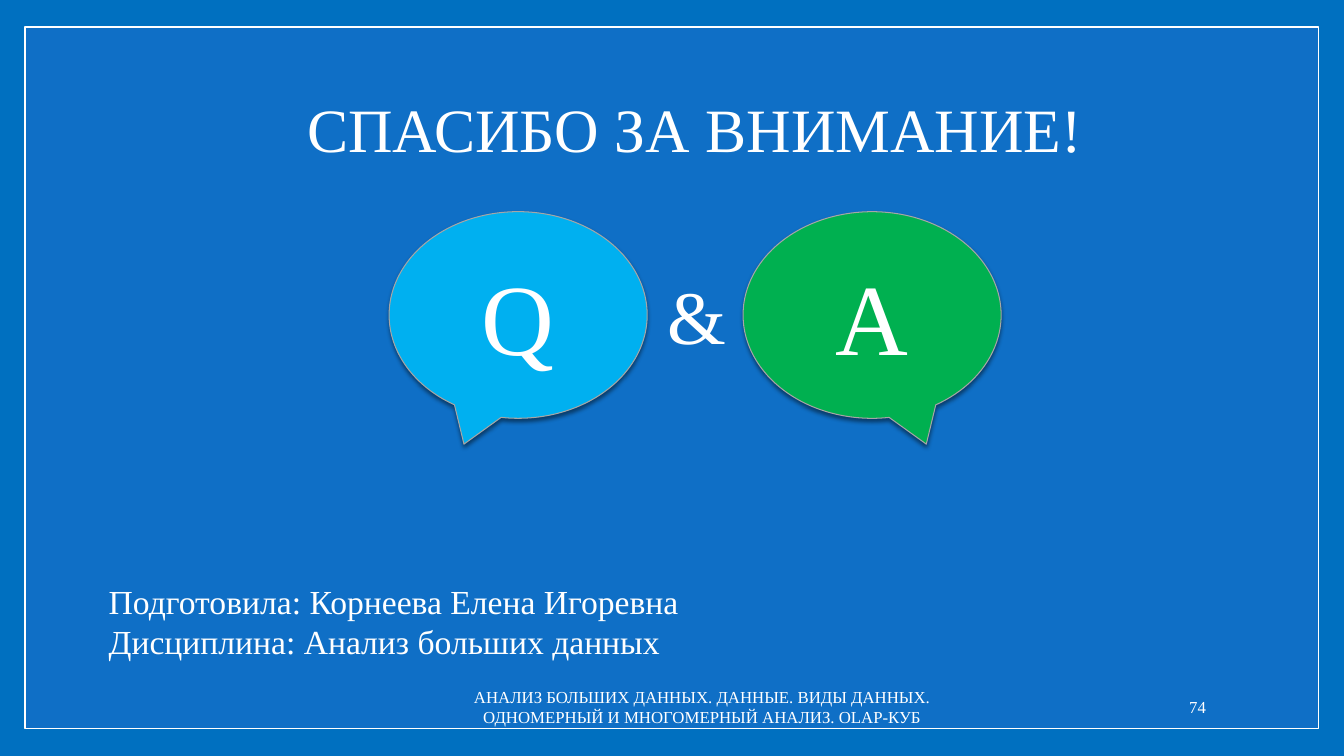
from lxml import etree
from pptx import Presentation
from pptx.dml.color import RGBColor
from pptx.enum.shapes import MSO_SHAPE
from pptx.enum.text import MSO_ANCHOR, PP_ALIGN
from pptx.oxml import parse_xml
from pptx.util import Inches, Pt

RECT, BUBBLE = MSO_SHAPE.RECTANGLE, MSO_SHAPE.OVAL_CALLOUT
TOP, MIDDLE = MSO_ANCHOR.TOP, MSO_ANCHOR.MIDDLE
LEFT, CENTER, RIGHT = PP_ALIGN.LEFT, PP_ALIGN.CENTER, PP_ALIGN.RIGHT
WIDE, HIGH = 13.33, 7.5
WHITE = "FFFFFF"
SHADE = (
    '<a:outerShdw xmlns:a="http://schemas.openxmlformats.org/drawingml/2006/main" '
    'blurRad="38100" dist="25400" dir="5400000" algn="ctr" rotWithShape="0">'
    '<a:srgbClr val="000000"><a:alpha val="45000"/></a:srgbClr></a:outerShdw>'
)


def paint(target, color):
    if hasattr(target, "solid"):
        target.solid()
        target = target.fore_color
    elif hasattr(target, "color"):
        target = target.color
    target.rgb = RGBColor.from_string(color)


def write(shape, lines, size, align, anchor, inset=0.05, space=None):
    frame = shape.text_frame
    form = {
        "word_wrap": True,
        "vertical_anchor": anchor,
        "margin_left": Inches(0.1),
        "margin_right": Inches(0.1),
        "margin_top": Inches(inset),
        "margin_bottom": Inches(inset),
    }
    for key, value in form.items():
        setattr(frame, key, value)
    for row, line in enumerate(lines):
        para = frame.add_paragraph() if row else frame.paragraphs[0]
        para.alignment = align
        para.line_spacing = space
        run = para.add_run()
        run.text = line
        for key, value in {"name": "Times New Roman", "size": Pt(size)}.items():
            setattr(run.font, key, value)
        paint(run.font, WHITE)


deck = Presentation()
deck.slide_width, deck.slide_height = Inches(WIDE), Inches(HIGH)
slide = deck.slides.add_slide(deck.slide_layouts[6])
paint(slide.background.fill, "0070C0")

edge_x, edge_y = 0.25, 0.27
border = slide.shapes.add_shape(
    RECT, Inches(edge_x), Inches(edge_y),
    Inches(WIDE - 2 * edge_x), Inches(HIGH - 2 * edge_y))
border.shadow.inherit = False
paint(border.fill, "0F6FC6")
paint(border.line, WHITE)
border.line.width = Pt(1)

wide, high, top = 2.56, 2.05, 2.1
bubbles = [("Q", 3.86, -0.21, "00B0F0"), ("A", 7.37, 0.21, "00B050")]
for mark, left, tail, color in bubbles:
    bubble = slide.shapes.add_shape(
        BUBBLE, Inches(left), Inches(top), Inches(wide), Inches(high))
    bubble.adjustments[0] = tail
    bubble.adjustments[1] = 0.625
    paint(bubble.fill, color)
    paint(bubble.line, "A6A6A6")
    bubble.line.width = Pt(0)
    bubble.shadow.inherit = False
    bubble._element.spPr[-1].append(parse_xml(SHADE))
    write(bubble, [mark], 72, CENTER, MIDDLE)

title = ["СПАСИБО ЗА ВНИМАНИЕ!"]
credit = ["Подготовила: Корнеева Елена Игоревна", "Дисциплина: Анализ больших данных"]
footer = ["АНАЛИЗ БОЛЬШИХ ДАННЫХ. ДАННЫЕ. ВИДЫ ДАННЫХ. "
          "ОДНОМЕРНЫЙ И МНОГОМЕРНЫЙ АНАЛИЗ. OLAP-КУБ"]
foot = 6.81
texts = [
    ((2.28, 0.68, 9.23, 1.27), title, 44, CENTER, MIDDLE, 0.1, 0.9),
    ((6.52, 2.62, 0.68, 1), ["&"], 54, LEFT, TOP),
    ((0.98, 5.71, 10.16, 0.91), credit, 24, LEFT, TOP),
    ((4.32, foot, 5.29, 0.4), footer, 12, CENTER, MIDDLE),
]
for place, *form in texts:
    write(slide.shapes.add_textbox(*map(Inches, place)), *form)

number = slide.shapes.add_textbox(*map(Inches, (10.2, foot, 1.86, 0.4)))
write(number, ["74"], 12, RIGHT, MIDDLE)
run = number.text_frame.paragraphs[0].runs[0]._r
run.tag = run.tag.replace("}r", "}fld")
run.set("id", "{B6F15528-21DE-4FAA-801E-634DDDAF4B2B}")
run.set("type", "slidenum")
etree.cleanup_namespaces(run)
deck.slides._sldIdLst.getparent().set("firstSlideNum", "74")

deck.save("out.pptx")
